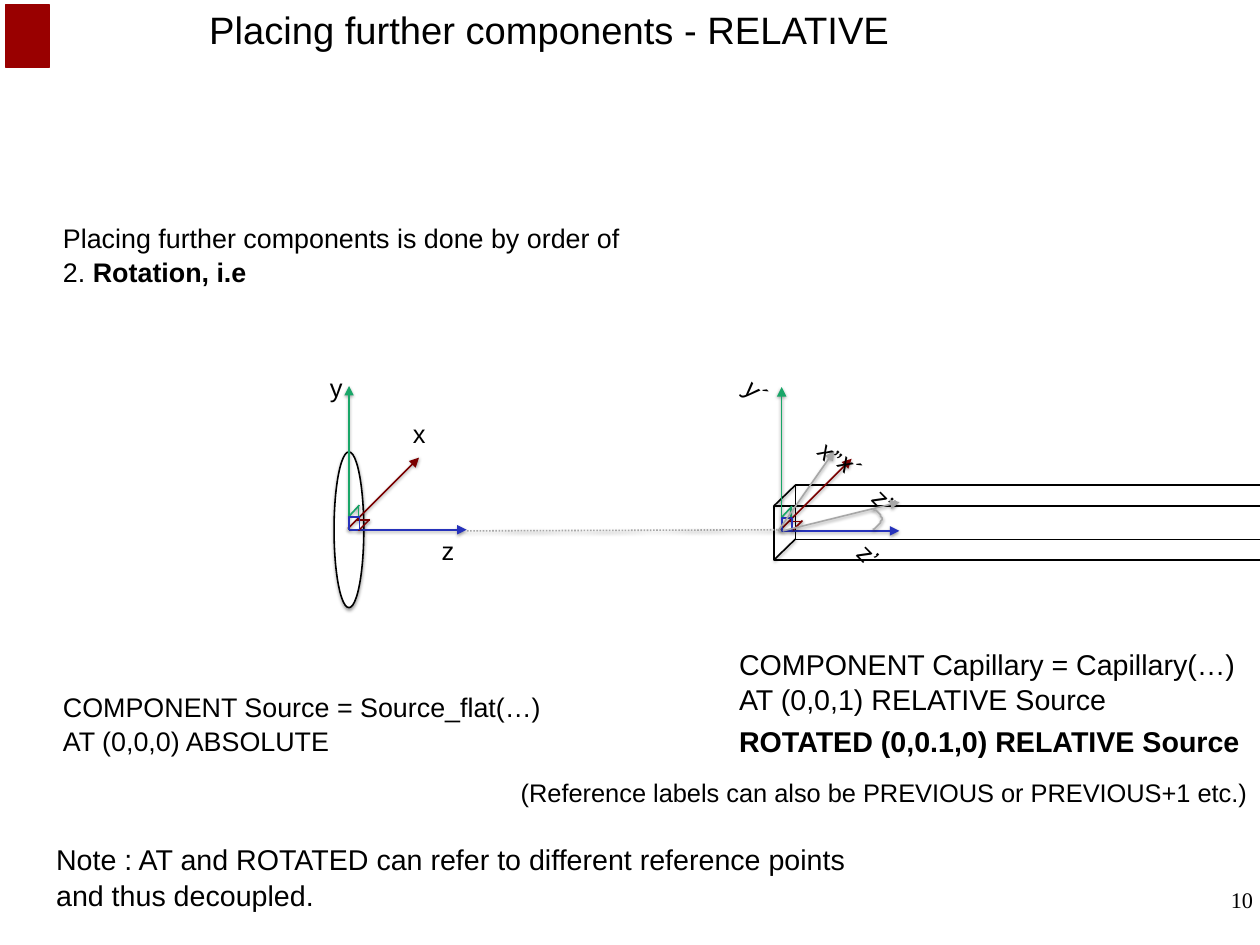
"""Build the slide on placing components with RELATIVE."""
from lxml.etree import SubElement
from pptx import Presentation
from pptx.dml.color import RGBColor
from pptx.enum.dml import MSO_LINE
from pptx.enum.shapes import MSO_CONNECTOR, MSO_SHAPE
from pptx.enum.text import MSO_ANCHOR, MSO_AUTO_SIZE, PP_ALIGN
from pptx.oxml.ns import qn
from pptx.util import Pt

COLORS = {"black": "000000", "white": "FFFFFF", "x": "7A0000", "y": "19A668",
          "z": "2632BB", "grey": "A7A7A7", "mark": "990000"}


def color(name):
    return RGBColor.from_string(COLORS[name])


def place(box, left, top, width, height):
    box.left, box.top, box.width, box.height = Pt(left), Pt(top), Pt(width), Pt(height)


def add_effects(shape, shadow=True):
    effects = SubElement(shape._element.spPr, qn("a:effectLst"))
    if shadow:
        outer = SubElement(effects, qn("a:outerShdw"), blurRad=str(Pt(2)),
                           dist=str(Pt(1)), dir="5400000", rotWithShape="0")
        black = SubElement(outer, qn("a:srgbClr"), val=COLORS["black"])
        SubElement(black, qn("a:alpha"), val="38000")


def add_line(page, start, end, name, arrow=False, dotted=False):
    line = page.shapes.add_connector(MSO_CONNECTOR.STRAIGHT, *map(Pt, start + end))
    line.line.color.rgb = color(name)
    line.line.width = Pt(1)
    if dotted:
        line.line.dash_style = MSO_LINE.ROUND_DOT
    if arrow:
        SubElement(line.line._get_or_add_ln(), qn("a:tailEnd"), type="triangle")
    add_effects(line)


def add_outline(page, kind, bounds, name="black", fill=None, shadow=False):
    shape = page.shapes.add_shape(kind, *map(Pt, bounds))
    if fill:
        shape.fill.solid()
        shape.fill.fore_color.rgb = color(fill)
    else:
        shape.fill.background()
    shape.line.color.rgb = color(name)
    shape.line.width = Pt(1)
    add_effects(shape, shadow)


def setup_frame(frame, wrap, inset=0):
    frame.word_wrap = wrap
    frame.auto_size = MSO_AUTO_SIZE.NONE
    frame.margin_left = frame.margin_right = Pt(inset)
    frame.margin_top = frame.margin_bottom = Pt(inset)


def format_para(para, size, font="Arial", align=PP_ALIGN.LEFT, before=0):
    para.alignment = align
    para.space_before = Pt(before)
    for span in para.runs:
        span.font.size = Pt(size)
        span.font.name = font
        span.font.color.rgb = color("black")
    for line_break in para._p.findall(qn("a:br")):
        SubElement(line_break, qn("a:rPr"), sz=str(round(size * 100)))


def add_text(page, text, bounds, size, wrap=False, inset=0, spacing=None, **style):
    box = page.shapes.add_textbox(*map(Pt, bounds))
    setup_frame(box.text_frame, wrap, inset)
    para = box.text_frame.paragraphs[0]
    para.text = text
    para.line_spacing = spacing
    format_para(para, size, **style)
    return box


def add_label(page, text, center, angle=0):
    x, y = center
    box = add_text(page, text, (x - 10, y - 9, 20, 18), 16, align=PP_ALIGN.CENTER)
    box.rotation = angle


def add_axes(page, x, y):
    add_line(page, (x, y), (x, y - 90.5), "y", arrow=True)
    add_line(page, (x, y), (x + 74, y), "z", arrow=True)
    add_line(page, (x - 0.7, y - 0.7), (x + 44, y - 45.4), "x", arrow=True)
    corners = [("x", 4.5, -6, 13, -6), ("x", 6, 0.5, 13, -6.5),
               ("y", 0, -8.5, 6.5, -15.5), ("y", 6, -8.5, 6, -15)]
    for name, x1, y1, x2, y2 in corners:
        add_line(page, (x + x1, y + y1), (x + x2, y + y2), name)
    add_outline(page, MSO_SHAPE.RECTANGLE, (x, y - 8, 6.5, 8), "z")


def add_angle_arc(page, x, top, bottom, bulge, steps=16):
    points = []
    for step in range(steps + 1):
        t = step / steps
        points.append((x + 3 * bulge * t * (1 - t), top + (bottom - top) * t))
    builder = page.shapes.build_freeform(*points[0], scale=Pt(1))
    builder.add_line_segments(points[1:], close=False)
    arc = builder.convert_to_shape()
    arc.fill.background()
    arc.line.color.rgb = color("grey")
    arc.line.width = Pt(1)
    add_effects(arc)


def fill_placeholders(page):
    title, body = page.shapes.title, page.placeholders[1]
    place(title, 113, -3, 465, 42.5)
    setup_frame(title.text_frame, True)
    title.text_frame.vertical_anchor = MSO_ANCHOR.MIDDLE
    title.text_frame.text = "Placing further components - RELATIVE"
    format_para(title.text_frame.paragraphs[0], 24, align=PP_ALIGN.CENTER)

    place(body, 39.6, 139, 714, 345)
    setup_frame(body.text_frame, True)
    intro = body.text_frame.paragraphs[0]
    intro.text = "Placing further components is done by order of \n2. "
    span = intro.add_run()
    span.text = "Rotation, i.e"
    span.font.bold = True
    source = body.text_frame.add_paragraph()
    source.text = "COMPONENT Source = Source_flat(…)\nAT (0,0,0) ABSOLUTE"
    for para, before in ((intro, 0), (source, 253)):
        properties = para._p.get_or_add_pPr()
        properties.set("marL", "0")
        properties.set("indent", "0")
        SubElement(properties, qn("a:buNone"))
        para.line_spacing = 1.04
        format_para(para, 16.9, before=before)


def draw_diagram(page):
    back, front = (500.4, 305.3, 370, 34.3), (487, 318.3, 370, 34.3)
    add_outline(page, MSO_SHAPE.RECTANGLE, back, fill="white")
    add_outline(page, MSO_SHAPE.OVAL, (210.2, 284.4, 18.7, 98), fill="white", shadow=True)
    add_axes(page, 219.6, 333.4)
    for text, center in (("x", (263.7, 272)), ("y", (211.5, 243)), ("z", (281.8, 345.5))):
        add_label(page, text, center)

    add_outline(page, MSO_SHAPE.RECTANGLE, front)
    for drop in (0, 34):
        add_line(page, (front[0], front[1] + drop), (back[0], back[1] + drop), "black")
    add_axes(page, 491.8, 334.1)
    add_line(page, (489.6, 334.1), (524.9, 283.7), "grey", arrow=True)
    turned = [("x´", (535.5, 292.5)), ("y´", (476.5, 246)), ("z’", (547, 348.5)),
              ("x”", (523, 285)), ("z”", (557, 315))]
    for text, center in turned:
        add_label(page, text, center, 45)
    add_line(page, (293.8, 334.1), (491, 333.4), "grey", dotted=True)
    add_line(page, (492.5, 334.1), (566, 316), "grey", arrow=True)
    add_angle_arc(page, 548.6, 319.7, 333.4, 8)


def add_notes_on_syntax(page):
    capillary = add_text(
        page, "COMPONENT Capillary = Capillary(…)\nAT (0,0,1) RELATIVE Source",
        (465, 406, 316, 67), 18, spacing=1.04)
    rotated = capillary.text_frame.add_paragraph()
    rotated.text = "ROTATED (0,0.1,0) RELATIVE Source"
    rotated.line_spacing = 1.04
    format_para(rotated, 18, before=4)
    rotated.runs[0].font.bold = True
    add_text(page, "(Reference labels can also be PREVIOUS or PREVIOUS+1 etc.)",
             (327.6, 489, 459.4, 17.5), 16)
    add_text(page, "Note : AT and ROTATED can refer to different reference points "
             "and thus decoupled.", (31.7, 525.6, 531, 48), 18, wrap=True, inset=3.6,
             spacing=1.04)
    add_text(page, "10", (603.4, 558, 185, 31.7), 14, wrap=True,
             font="Times New Roman", align=PP_ALIGN.RIGHT)


def main():
    deck = Presentation()
    deck.slide_width, deck.slide_height = Pt(792.7), Pt(594.7)
    page = deck.slides.add_slide(deck.slide_layouts[1])
    add_outline(page, MSO_SHAPE.RECTANGLE, (3.6, 2.9, 27.4, 39.6), "mark", fill="mark")
    fill_placeholders(page)
    draw_diagram(page)
    add_notes_on_syntax(page)
    deck.save("out.pptx")


if __name__ == "__main__":
    main()
